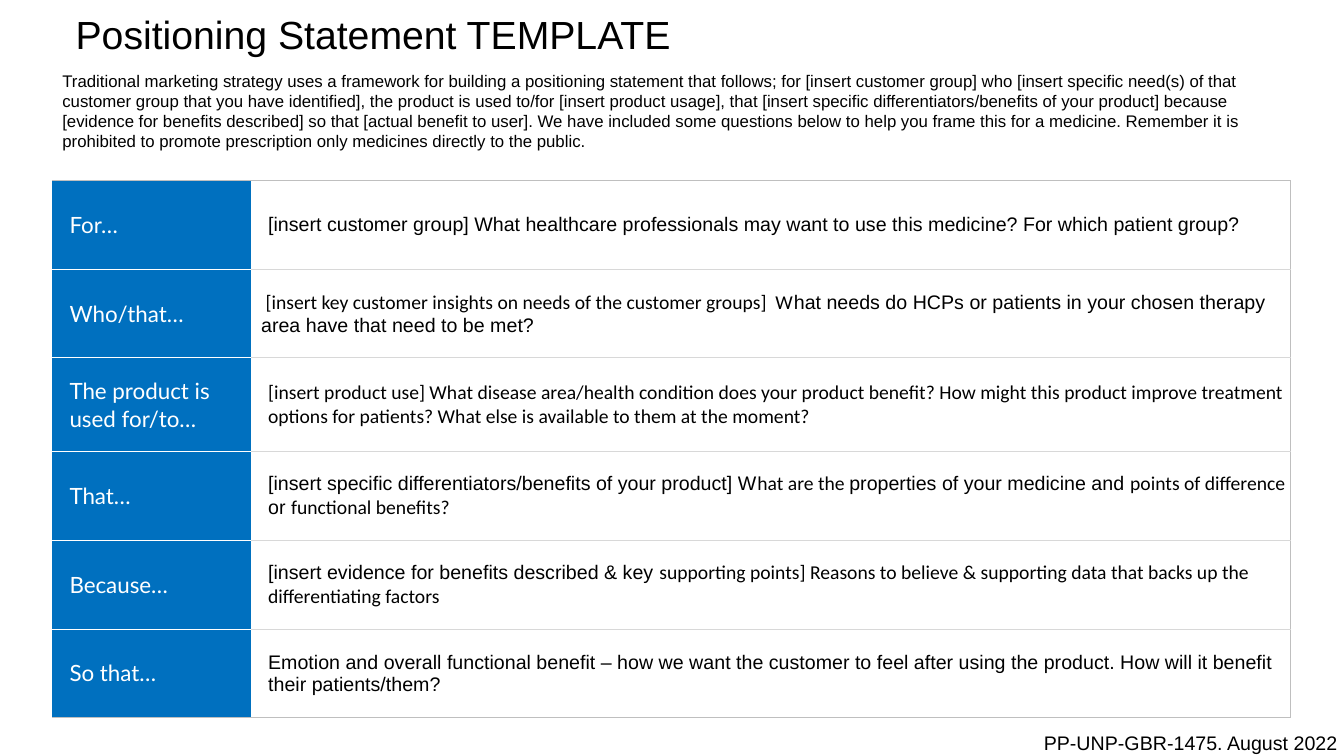
from dataclasses import dataclass
from typing import Any

from lxml.etree import SubElement as Sub
from pptx import Presentation as Deck
from pptx.dml.color import RGBColor as Rgb
from pptx.enum.text import MSO_ANCHOR as Anchor, MSO_AUTO_SIZE as Fit, PP_ALIGN as Align
from pptx.oxml.ns import qn
from pptx.util import Inches, Pt


@dataclass(frozen=True)
class Theme:
    black: str = "000000"
    white: str = "FFFFFF"
    blue: str = "0070BF"
    frame: str = "BFBFBF"
    rule: str = "D8D8D8"
    sans: str = "Arial"
    body: str = "Calibri"
    label: str = "Lato"
    head: float = 28
    lead: float = 16
    text: float = 14
    note: float = 12
    line: float = 0.75


@dataclass(frozen=True)
class Piece:
    text: str
    font: str


@dataclass(frozen=True)
class Row:
    label: str
    words: list[Piece]
    high: float = 0.88
    left: float = 0.17
    space: float = 1.0


@dataclass(frozen=True)
class Box:
    text: str
    left: float
    top: float
    wide: float
    high: float
    size: float
    align: Any = Align.LEFT
    anchor: Any = Anchor.TOP
    space: float = 1.0
    fit: Any = Fit.NONE


LOOK = Theme()
SANS, BODY = LOOK.sans, LOOK.body

TITLE = Box("Positioning Statement TEMPLATE", 0.65, 0.1, 11.5, 0.64, LOOK.head, space=0.9)
NOTES = [
    Box("Traditional marketing strategy uses a framework for building a positioning statement that follows; "
        "for [insert customer group] who [insert specific need(s) of that customer group that you have identified], "
        "the product is used to/for [insert product usage], that [insert specific differentiators/benefits of your "
        "product] because [evidence for benefits described] so that [actual benefit to user]. We have included some "
        "questions below to help you frame this for a medicine. Remember it is prohibited to promote prescription "
        "only medicines directly to the public.",
        0.52, 0.65, 12.29, 0.91, LOOK.note, fit=Fit.SHAPE_TO_FIT_TEXT),
    Box("PP-UNP-GBR-1475. August 2022", 10, 7.18, 3.62, 0.38, LOOK.text, Align.CENTER, Anchor.MIDDLE),
]
WIDTHS = [1.97, 10.31]
ROWS = [
    Row("For…", [
        Piece("[insert customer group] What healthcare professionals may want to use this medicine? "
              "For which patient group?", SANS)]),
    Row("Who/that…", [
        Piece(" [insert key customer insights on needs of the customer groups]  W", BODY),
        Piece("hat needs do HCPs or patients in your chosen therapy area have that need to be met?", SANS)],
        left=0.1),
    Row("The product is used for/to…", [
        Piece("[insert product use] What disease area/health condition does your product benefit? How might this "
              "product improve treatment options for patients? What else is available to them at the moment?", BODY)],
        high=0.93, space=1.04),
    Row("That…", [
        Piece("[insert specific differentiators/benefits of your product] W", SANS),
        Piece("hat are the ", BODY),
        Piece("properties of your medicine and ", SANS),
        Piece("points of difference", BODY),
        Piece(" or ", SANS),
        Piece("functional benefits?", BODY)]),
    Row("Because…", [
        Piece("[insert evidence for benefits described & key ", SANS),
        Piece("supporting points] Reasons to believe & supporting data that backs up the differentiating factors",
              BODY)]),
    Row("So that…", [
        Piece("Emotion and overall functional benefit – how we want the customer to feel after using the product. "
              "How will it benefit their patients/them?", SANS)]),
]


def apply(item: Any, form: dict[str, Any]) -> None:
    for name, value in form.items():
        setattr(item, name, value)


def write(frame: Any, words: list[Piece], size: float, color: str, align: Any, space: float) -> None:
    para = frame.paragraphs[0]
    apply(para, {"alignment": align, "line_spacing": space})
    for piece in words:
        run = para.add_run()
        run.text = piece.text
        apply(run.font, {"name": piece.font, "size": Pt(size), "bold": False})
        run.font.color.rgb = Rgb.from_string(color)


def fill_box(shape: Any, box: Box) -> None:
    apply(shape, {"left": Inches(box.left), "top": Inches(box.top),
                  "width": Inches(box.wide), "height": Inches(box.high)})
    frame = shape.text_frame
    apply(frame, {"word_wrap": True, "auto_size": box.fit, "vertical_anchor": box.anchor})
    write(frame, [Piece(box.text, SANS)], box.size, LOOK.black, box.align, box.space)


def edge(cell: Any, sides: dict[str, str | None]) -> None:
    props = cell._tc.get_or_add_tcPr()
    for spot, (side, color) in enumerate(sides.items()):
        line = Sub(props, qn(f"a:ln{side}"), w=str(Pt(LOOK.line)))
        if color:
            Sub(Sub(line, qn("a:solidFill")), qn("a:srgbClr"), val=color)
        else:
            Sub(line, qn("a:noFill"))
        props.insert(spot, line)


def fill_cell(cell: Any, words: list[Piece], size: float, color: str, left: float, pad: float, space: float) -> None:
    apply(cell, {"vertical_anchor": Anchor.MIDDLE, "margin_left": Inches(left), "margin_right": 0,
                 "margin_top": Inches(pad), "margin_bottom": Inches(pad)})
    write(cell.text_frame, words, size, color, Align.LEFT, space)


def add_grid(slide: Any) -> None:
    high = sum(row.high for row in ROWS)
    grid = slide.shapes.add_table(len(ROWS), len(WIDTHS), Inches(0.52), Inches(1.79),
                                  Inches(sum(WIDTHS)), Inches(high)).table
    apply(grid, {"first_row": False, "horz_banding": False})
    for column, wide in zip(grid.columns, WIDTHS):
        column.width = Inches(wide)
    for spot, row in enumerate(ROWS):
        grid.rows[spot].height = Inches(row.high)
        label, text = grid.cell(spot, 0), grid.cell(spot, 1)
        fill_cell(label, [Piece(row.label, LOOK.label)], LOOK.lead, LOOK.white, 0.17, 0, row.space)
        fill_cell(text, row.words, LOOK.text, LOOK.black, row.left, 0.1, 1.0)
        label.fill.solid()
        label.fill.fore_color.rgb = Rgb.from_string(LOOK.blue)
        text.fill.background()
        for cell, right, inner in ((label, None, LOOK.white), (text, LOOK.frame, LOOK.rule)):
            edge(cell, {"L": None, "R": right,
                        "T": inner if spot else LOOK.frame,
                        "B": inner if spot < len(ROWS) - 1 else LOOK.frame})


def main() -> None:
    deck = Deck()
    apply(deck, {"slide_width": Inches(13.33), "slide_height": Inches(7.5)})
    slide = deck.slides.add_slide(deck.slide_layouts[5])
    fill_box(slide.shapes.title, TITLE)
    add_grid(slide)
    for note in NOTES:
        fill_box(slide.shapes.add_textbox(0, 0, 0, 0), note)
    deck.save("out.pptx")


if __name__ == "__main__":
    main()
